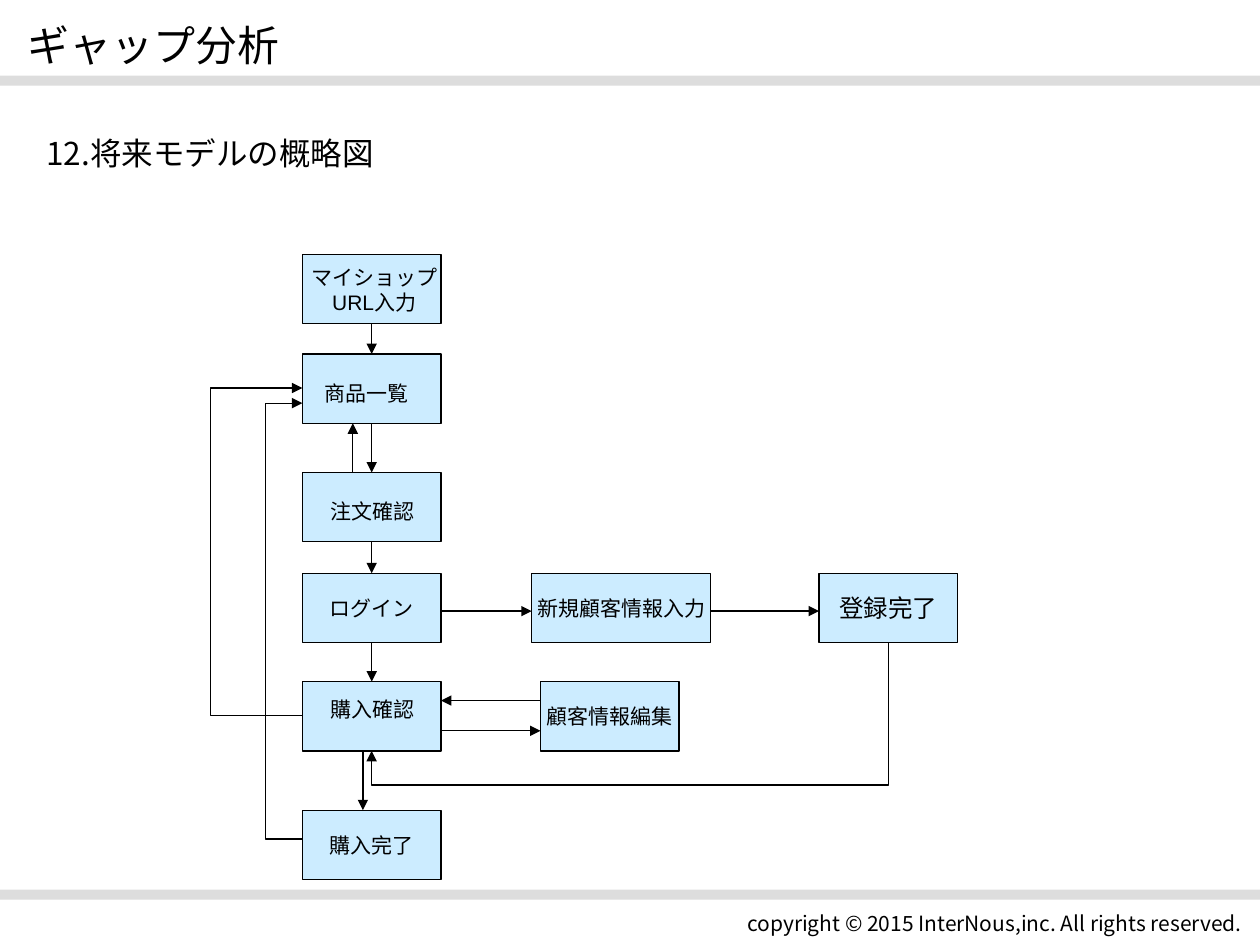
import pptx
import pptx.util
import pptx.dml.color
import pptx.enum.shapes
import pptx.enum.text
import pptx.oxml.ns
import lxml.etree

WIDTH, HEIGHT = 10, 7.5
BLACK, BLUE, GREY = "000000", "CCECFF", "DDDDDD"
SANS, BODY = "Noto Sans CJK JP", "Arial"
ALIGN = pptx.enum.text.PP_ALIGN
ANCHOR = pptx.enum.text.MSO_ANCHOR
PRESET = pptx.enum.shapes.MSO_SHAPE

TITLE = "ギャップ分析"
HEADING = "12.将来モデルの概略図"
COPYRIGHT = "copyright © 2015 InterNous,inc. All rights reserved."

COLUMNS = {"main": 2.4, "entry": 4.22, "edit": 4.29, "done": 6.5}
ROWS = {"url": 2.02, "list": 2.81, "order": 3.75, "login": 4.55, "confirm": 5.41, "finish": 6.43}
BOX_WIDTH, BOX_HEIGHT, WIDE_BOX = 1.1, 0.55, 1.42
RIGHT = COLUMNS["main"] + BOX_WIDTH
CENTRE = COLUMNS["main"] + BOX_WIDTH / 2

STEPS = [
    ("main", "url", BOX_WIDTH, "", 12),
    ("main", "list", BOX_WIDTH, "", 12),
    ("main", "order", BOX_WIDTH, "", 12),
    ("main", "login", BOX_WIDTH, "ログイン", 12),
    ("main", "confirm", BOX_WIDTH, "", 12),
    ("main", "finish", BOX_WIDTH, "購入完了", 12),
    ("entry", "login", WIDE_BOX, "新規顧客情報入力", 12),
    ("done", "login", BOX_WIDTH, "登録完了", 14),
    ("edit", "confirm", BOX_WIDTH, "顧客情報編集", 12),
]
LABELS = [
    ((2.37, 2.05, 1.2, 0.5), ["マイショップ", "URL入力"]),
    ((2.48, 2.97, 0.86, 0.3), ["商品一覧"]),
    ((2.48, 3.91, 0.95, 0.3), ["注文確認"]),
    ((2.53, 5.48, 0.86, 0.3), ["購入確認"]),
]


def below(row):
    return ROWS[row] + BOX_HEIGHT


ARROWS = [
    ((CENTRE, below("url")), (CENTRE, ROWS["list"])),
    ((CENTRE, below("list")), (CENTRE, ROWS["order"])),
    ((2.8, ROWS["order"]), (2.8, below("list"))),
    ((CENTRE, below("order")), (CENTRE, ROWS["login"])),
    ((CENTRE, below("login")), (CENTRE, ROWS["confirm"])),
    ((2.88, below("confirm")), (2.88, ROWS["finish"])),
    ((RIGHT, 4.85), (COLUMNS["entry"], 4.85)),
    ((COLUMNS["entry"] + WIDE_BOX, 4.85), (COLUMNS["done"], 4.85)),
    ((COLUMNS["edit"], 5.56), (RIGHT, 5.56)),
    ((RIGHT, 5.8), (COLUMNS["edit"], 5.8)),
]
RETURNS = [
    [(2.4, 5.68), (1.67, 5.68), (1.67, 3.08), (2.4, 3.08)],
    [(2.4, 6.66), (2.11, 6.66), (2.11, 3.2), (2.4, 3.2)],
    [(7.05, below("login")), (7.05, 6.23), (CENTRE, 6.23), (CENTRE, below("confirm"))],
]


def inches(values):
    return [pptx.util.Inches(value) for value in values]


def colour(value):
    return pptx.dml.color.RGBColor.from_string(value)


def child(parent, tag, **attributes):
    return lxml.etree.SubElement(parent, pptx.oxml.ns.qn(tag), attributes)


def write(shape, lines, size, font, align, anchor=ANCHOR.MIDDLE, wrap=False):
    frame = shape.text_frame
    frame.word_wrap = wrap
    frame.auto_size = pptx.enum.text.MSO_AUTO_SIZE.NONE
    frame.vertical_anchor = anchor
    for index, line in enumerate(lines):
        para = frame.add_paragraph() if index else frame.paragraphs[0]
        para.alignment = align
        span = para.add_run()
        span.text = line
        span.font.size = pptx.util.Pt(size)
        span.font.name = font
        span.font.color.rgb = colour(BLACK)
        child(span.font._element, "a:ea", typeface=SANS)


def outline(shape):
    shape.line.color.rgb = colour(BLACK)
    shape.line.width = pptx.util.Pt(0.75)


def add_box(page, preset, place, fill):
    box = page.shapes.add_shape(preset, *inches(place))
    box.shadow.inherit = False
    box.fill.solid()
    box.fill.fore_color.rgb = colour(fill)
    return box


def add_arrow(page, start, end):
    arrow = page.shapes.add_connector(
        pptx.enum.shapes.MSO_CONNECTOR.STRAIGHT, *inches(start + end))
    outline(arrow)
    child(arrow.line._get_or_add_ln(), "a:tailEnd", type="triangle")
    child(arrow._element.spPr, "a:effectLst")


def add_return(page, points):
    start, *rest = [inches(point) for point in points]
    builder = page.shapes.build_freeform(*start)
    builder.add_line_segments(rest, close=False)
    route = builder.convert_to_shape()
    route.shadow.inherit = False
    route.fill.background()
    outline(route)
    child(route.line._get_or_add_ln(), "a:tailEnd", type="triangle")


def main():
    deck = pptx.Presentation()
    deck.slide_width, deck.slide_height = inches((WIDTH, HEIGHT))
    page = deck.slides.add_slide(deck.slide_layouts[5])

    title = page.shapes.title
    title.left, title.top, title.width, title.height = inches((0.12, 0.05, 7.01, 0.61))
    write(title, [TITLE], 24, SANS, ALIGN.LEFT, wrap=True)

    for top in (0.6, 7.06):
        bar = add_box(page, PRESET.RECTANGLE, (0, top, WIDTH, 0.08), GREY)
        bar.line.fill.background()

    for place, text, size, align in [
        ((0.27, 0.91, 7.01, 0.61), HEADING, 18, ALIGN.LEFT),
        ((2.95, 7.14, 7.01, 0.37), COPYRIGHT, 12, ALIGN.RIGHT),
    ]:
        write(page.shapes.add_textbox(*inches(place)), [text], size, SANS, align, wrap=True)

    for column, row, width, text, size in STEPS:
        place = (COLUMNS[column], ROWS[row], width, BOX_HEIGHT)
        box = add_box(page, PRESET.FLOWCHART_PROCESS, place, BLUE)
        outline(box)
        if text:
            write(box, [text], size, BODY, ALIGN.CENTER)

    for place, lines in LABELS:
        label = page.shapes.add_textbox(*inches(place))
        write(label, lines, 12, BODY, ALIGN.CENTER, ANCHOR.TOP)

    for start, end in ARROWS:
        add_arrow(page, start, end)
    for points in RETURNS:
        add_return(page, points)

    deck.save("out.pptx")


if __name__ == "__main__":
    main()
